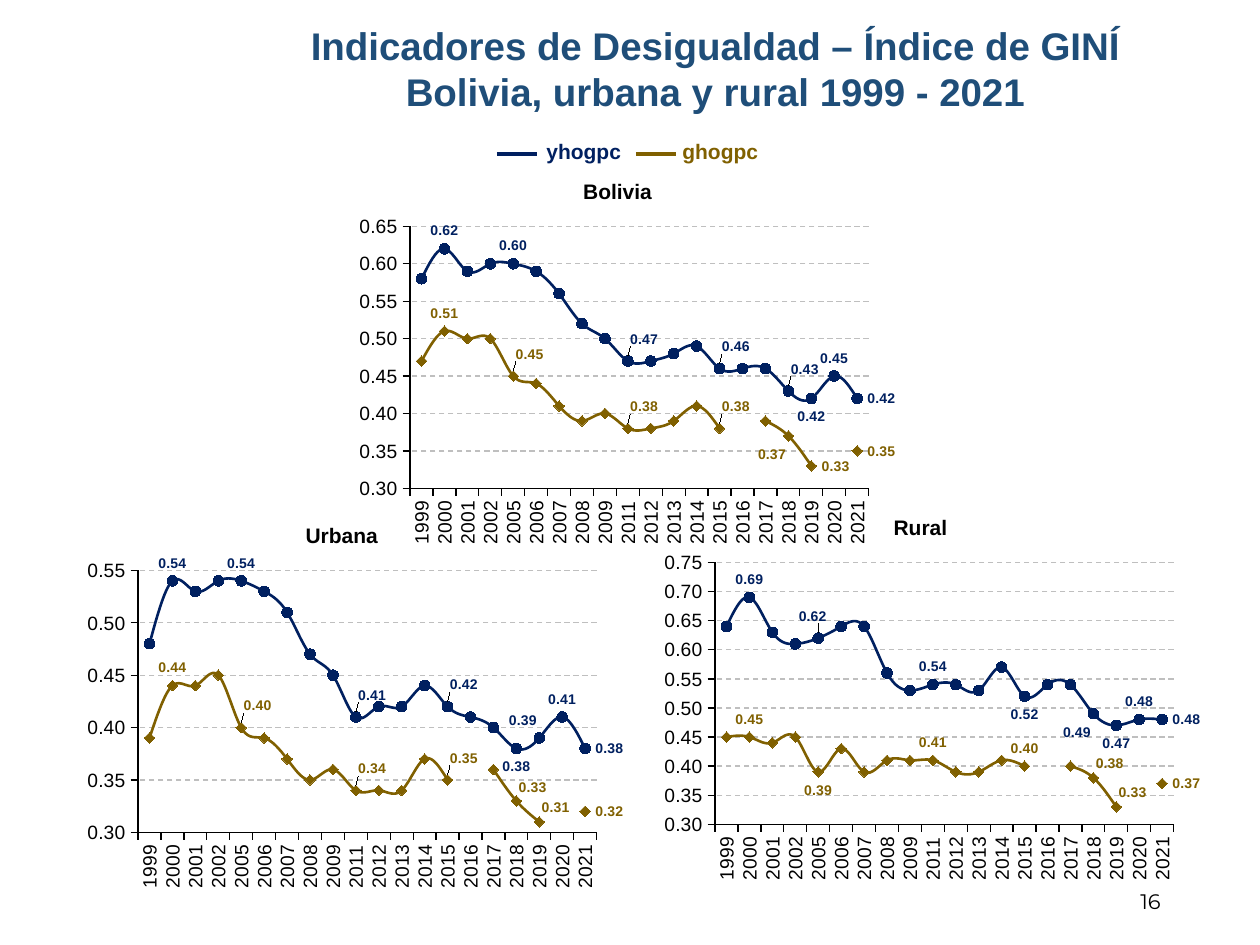
"""Build the slide of Gini index charts for Bolivia, urban and rural, 1999 - 2021."""
from dataclasses import dataclass
from typing import Optional

import lxml.etree
import pptx
import pptx.chart.data
import pptx.dml.color
import pptx.enum.chart
import pptx.enum.dml
import pptx.enum.shapes
import pptx.enum.text
import pptx.oxml
import pptx.oxml.ns
import pptx.util

RGBColor = pptx.dml.color.RGBColor
NAVY = RGBColor(0x00, 0x20, 0x60)
OLIVE = RGBColor(0x80, 0x60, 0x00)
TITLE_BLUE = RGBColor(0x1F, 0x4E, 0x79)
BLACK = RGBColor(0, 0, 0)
GRID_GRAY = RGBColor(0xBF, 0xBF, 0xBF)

ALIGN = pptx.enum.text.PP_ALIGN
LABEL = pptx.enum.chart.XL_LABEL_POSITION
MARKER = pptx.enum.chart.XL_MARKER_STYLE

PX_PER_INCH = 126
CHART_W, CHART_H = 546, 397
PLOT_X, PLOT_Y, PLOT_W, PLOT_H = 60, 69, 461, 264
NUMBER_FORMAT = "#,##0.00"
YEARS = ["1999", "2000", "2001", "2002", *map(str, range(2005, 2010)), *map(str, range(2011, 2022))]
LAST = len(YEARS) - 1
FALL = (14, -4)
ASIDE = (17, 4)
BACK = (-14, 0)


@dataclass
class Line:
    name: str
    color: RGBColor
    marker: MARKER
    labelled: tuple[int, ...]
    values: list[Optional[float]]
    places: dict[int, LABEL]
    shifts: dict[int, tuple[int, int]]


@dataclass
class GiniChart:
    title: str
    left: int
    top: int
    title_x: int
    maximum: float
    lines: list[Line]


@dataclass
class LegendEntry:
    text: str
    color: RGBColor
    line_x: int
    text_x: int


def income(values: list[Optional[float]], places: dict, shifts: dict) -> Line:
    """Return the household income line."""
    return Line("yhogpc", NAVY, MARKER.CIRCLE, (1, 4, 9, 13, 16, 17, 18, 19), values, places, shifts)


def spending(values: list[Optional[float]], places: dict, shifts: dict) -> Line:
    """Return the household spending line."""
    return Line("ghogpc", OLIVE, MARKER.DIAMOND, (1, 4, 9, 13, 16, 17, 19), values, places, shifts)


CHARTS = [
    GiniChart("Bolivia", 350, 159, 227, 0.65, [
        income([0.58, 0.62, 0.59, 0.60, 0.60, 0.59, 0.56, 0.52, 0.50, 0.47,
                0.47, 0.48, 0.49, 0.46, 0.46, 0.46, 0.43, 0.42, 0.45, 0.42],
               {17: LABEL.BELOW}, {9: FALL, 13: FALL, 16: FALL}),
        spending([0.47, 0.51, 0.50, 0.50, 0.45, 0.44, 0.41, 0.39, 0.40, 0.38,
                  0.38, 0.39, 0.41, 0.38, None, 0.39, 0.37, 0.33, None, 0.35],
                 {16: LABEL.BELOW, 17: LABEL.RIGHT}, {4: FALL, 9: FALL, 13: FALL, 16: BACK}),
    ]),
    GiniChart("Urbana", 78, 503, 226, 0.55, [
        income([0.48, 0.54, 0.53, 0.54, 0.54, 0.53, 0.51, 0.47, 0.45, 0.41,
                0.42, 0.42, 0.44, 0.42, 0.41, 0.40, 0.38, 0.39, 0.41, 0.38],
               {16: LABEL.BELOW}, {9: FALL, 13: FALL, 17: BACK}),
        spending([0.39, 0.44, 0.44, 0.45, 0.40, 0.39, 0.37, 0.35, 0.36, 0.34,
                  0.34, 0.34, 0.37, 0.35, None, 0.36, 0.33, 0.31, None, 0.32],
                 {}, {4: FALL, 9: FALL, 13: FALL, 16: ASIDE, 17: ASIDE}),
    ]),
    GiniChart("Rural", 655, 495, 236, 0.75, [
        income([0.64, 0.69, 0.63, 0.61, 0.62, 0.64, 0.64, 0.56, 0.53, 0.54,
                0.54, 0.53, 0.57, 0.52, 0.54, 0.54, 0.49, 0.47, 0.48, 0.48],
               {13: LABEL.BELOW, 16: LABEL.BELOW, 17: LABEL.BELOW}, {4: (-6, -4), 16: BACK}),
        spending([0.45, 0.45, 0.44, 0.45, 0.39, 0.43, 0.39, 0.41, 0.41, 0.41,
                  0.39, 0.39, 0.41, 0.40, None, 0.40, 0.38, 0.33, None, 0.37],
                 {4: LABEL.BELOW}, {16: ASIDE, 17: ASIDE}),
    ]),
]

LEGEND = [LegendEntry("yhogpc", NAVY, 497, 547), LegendEntry("ghogpc", OLIVE, 636, 683)]


def px(n: int) -> pptx.util.Emu:
    return pptx.util.Emu(round(n * 914400 / PX_PER_INCH))


def set_font(font, size: int, color: RGBColor, bold: bool = False, name: str = "Arial") -> None:
    font.name, font.size, font.bold = name, pptx.util.Pt(size), bold
    font.color.rgb = color


def add_text(slide, text: str, box: tuple[int, int, int, int], size: int, color: RGBColor,
             align: ALIGN, bold: bool = True, name: str = "Arial") -> None:
    tf = slide.shapes.add_textbox(*map(px, box)).text_frame
    tf.word_wrap = True
    tf.vertical_anchor = pptx.enum.text.MSO_ANCHOR.MIDDLE
    tf.margin_top = tf.margin_bottom = 0
    tf.text = text
    for p in tf.paragraphs:
        p.alignment = align
        for r in p.runs:
            set_font(r.font, size, color, bold, name)


def add_legend_entry(slide, entry: LegendEntry) -> None:
    cxn = slide.shapes.add_connector(pptx.enum.shapes.MSO_CONNECTOR.STRAIGHT,
                                     px(entry.line_x), px(154), px(entry.line_x + 40), px(154))
    cxn.line.color.rgb, cxn.line.width = entry.color, pptx.util.Pt(2.25)
    lxml.etree.SubElement(cxn._element.spPr, pptx.oxml.ns.qn("a:effectLst"))
    add_text(slide, entry.text, (entry.text_x - 13, 135, 110, 32), 12, entry.color, ALIGN.LEFT)


def set_layout(parent, index: int, modes: dict[str, str], **lengths: int) -> None:
    """Place a chart part by px lengths, given to the file as shares of the chart."""
    old = parent.find(pptx.oxml.ns.qn("c:layout"))
    if old is not None:
        index = parent.index(old)
        parent.remove(old)
    shares = {k: round(v / (CHART_W if k in "xw" else CHART_H), 2) for k, v in lengths.items()}
    body = "".join(f'<c:{k} val="{v}"/>' for k, v in {**modes, **shares}.items())
    parent.insert(index, pptx.oxml.parse_xml(
        f'<c:layout {pptx.oxml.ns.nsdecls("c")}><c:manualLayout>{body}</c:manualLayout></c:layout>'))


def style_axis(axis) -> None:
    axis.major_tick_mark = pptx.enum.chart.XL_TICK_MARK.OUTSIDE
    axis.format.line.color.rgb = BLACK
    axis.format.line.width = pptx.util.Pt(0.75)
    set_font(axis.tick_labels.font, 11, BLACK)


def style_line(series, line: Line) -> None:
    series.smooth = True
    series.format.line.color.rgb = line.color
    series.format.line.width = pptx.util.Pt(1.5)
    series.marker.style, series.marker.size = line.marker, 6
    series.marker.format.fill.solid()
    series.marker.format.fill.fore_color.rgb = line.color
    series.marker.format.line.color.rgb = line.color
    series.data_labels.show_value = False
    for i in line.labelled:
        label = series.points[i].data_label
        set_font(label.font, 8, line.color, True)
        label.position = line.places.get(i, LABEL.RIGHT if i == LAST else LABEL.ABOVE)
    for d_lbl in series.data_labels._element.findall(pptx.oxml.ns.qn("c:dLbl")):
        i = int(d_lbl.find(pptx.oxml.ns.qn("c:idx")).get("val"))
        if i in line.shifts:
            dx, dy = line.shifts[i]
            set_layout(d_lbl, 1, {}, x=dx, y=dy)


def add_gini_chart(slide, gini: GiniChart) -> None:
    data = pptx.chart.data.CategoryChartData(number_format=NUMBER_FORMAT)
    data.categories = YEARS
    for line in gini.lines:
        data.add_series(line.name, line.values)
    chart = slide.shapes.add_chart(pptx.enum.chart.XL_CHART_TYPE.LINE_MARKERS, px(gini.left),
                                   px(gini.top), px(CHART_W), px(CHART_H), data).chart
    set_font(chart.font, 10, BLACK)
    chart.has_legend = False
    chart.has_title = True
    tf = chart.chart_title.text_frame
    tf.text = gini.title
    set_font(tf.paragraphs[0].runs[0].font, 12, BLACK, True)
    edges = {"xMode": "edge", "yMode": "edge"}
    set_layout(chart.chart_title._element, 1, edges, x=gini.title_x, y=16)
    set_layout(chart._chartSpace.chart.plotArea, 0, {"layoutTarget": "inner", **edges},
               x=PLOT_X, y=PLOT_Y, w=PLOT_W, h=PLOT_H)
    years, values = chart.category_axis, chart.value_axis
    style_axis(years)
    style_axis(values)
    years._element.txPr.bodyPr.set("rot", "-5400000")
    values.minimum_scale, values.maximum_scale, values.major_unit = 0.3, gini.maximum, 0.05
    values.tick_labels.number_format = NUMBER_FORMAT
    values.tick_labels.number_format_is_linked = False
    grid = values.major_gridlines.format.line
    grid.color.rgb, grid.width = GRID_GRAY, pptx.util.Pt(0.75)
    grid.dash_style = pptx.enum.dml.MSO_LINE.DASH
    chart.plots[0].vary_by_categories = False
    for series, line in zip(chart.plots[0].series, gini.lines):
        style_line(series, line)


prs = pptx.Presentation()
prs.slide_width, prs.slide_height = px(1260), px(945)
s = prs.slides.add_slide(prs.slide_layouts[6])
add_text(s, "Indicadores de Desigualdad – Índice de GINÍ\nBolivia, urbana y rural 1999 - 2021",
         (171, 6, 1089, 124), 22, TITLE_BLUE, ALIGN.CENTER)
add_text(s, "16", (890, 876, 283, 50), 12, BLACK, ALIGN.RIGHT, False, "Montserrat")
for legend_entry in LEGEND:
    add_legend_entry(s, legend_entry)
for gini_chart in CHARTS:
    add_gini_chart(s, gini_chart)
prs.save("out.pptx")
